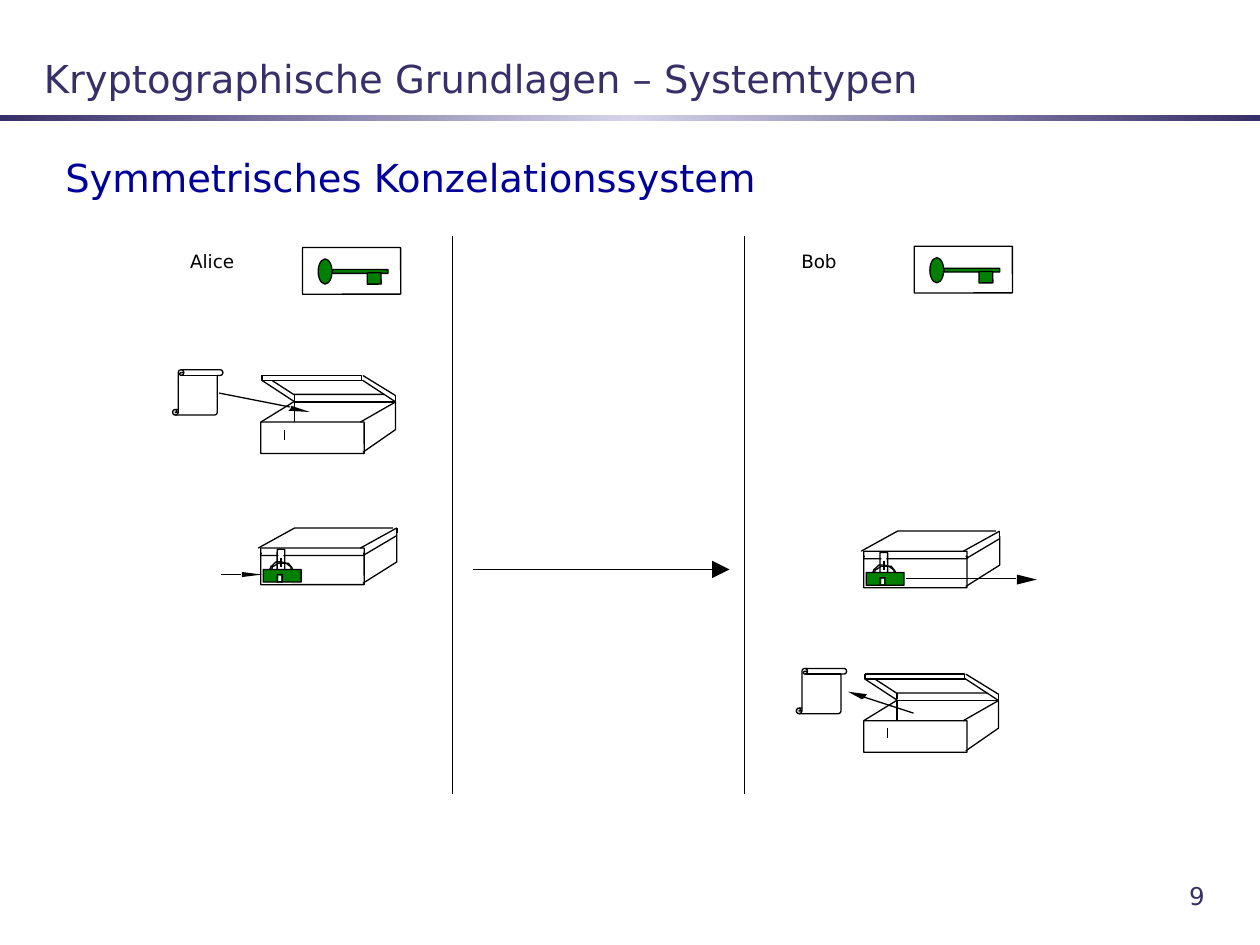
from copy import deepcopy

from pptx import Presentation
from pptx.dml.color import RGBColor
from pptx.enum.shapes import MSO_CONNECTOR, MSO_SHAPE
from pptx.enum.text import MSO_ANCHOR, PP_ALIGN
from pptx.oxml.ns import qn
from pptx.oxml.xmlchemy import OxmlElement
from pptx.util import Emu, Inches, Pt

RECTANGLE = MSO_SHAPE.RECTANGLE
ROUNDED = MSO_SHAPE.ROUNDED_RECTANGLE
OVAL = MSO_SHAPE.OVAL
SCROLL = MSO_SHAPE.VERTICAL_SCROLL
STRAIGHT = MSO_CONNECTOR.STRAIGHT
LEFT, RIGHT = PP_ALIGN.LEFT, PP_ALIGN.RIGHT
TOP, MIDDLE = MSO_ANCHOR.TOP, MSO_ANCHOR.MIDDLE

COLORS = {
    "ink": "000000",
    "paper": "FFFFFF",
    "key": "008000",
    "title": "372F67",
    "glow": "D5D2EA",
    "subtitle": "000099",
}
COLUMNS, ROWS = 100, 75

OPEN_CHEST = [
    [(0, 0), (2.6, -1.6)],
    [(10.7, -1.6), (7.9, 0)],
    [(2.6, -1.6), (10.6, -1.6)],
    [(8.1, 2.4), (10.7, 0.6), (10.7, -1.6)],
    [(2.7, -1.6), (0.1, -3.3)],
    [(10.7, -1.6), (8.1, -3.3)],
    [(0.1, -3.7), (0.1, -3.3), (8.1, -3.3)],
    [(2.65, -1.7), (2.65, -2.2)],
    [(10.7, -1.6), (10.7, -2.1)],
    [(8, -3.3), (8, -3.7), (0.1, -3.7)],
    [(8.1, -3.7), (10.7, -2.1)],
    [(0.9, -3.3), (2.6, -2.2), (9.8, -2.2)],
    [(2.65, -1.6), (2.65, 0)],
    [(1.9, 0.6), (1.9, 1.4)],
]
CHEST_SIDE = [(8.1, 2.4), (10.8, 0.7), (10.8, -1.6)]
CLOSED_LID = [
    [(10.8, -2), (7.9, -0.4)],
    [(10.5, -2), (2.7, -2), (-0.2, -0.4)],
    [(10.8, -2), (10.8, -1.6)],
    [(8.1, 0.2), (10.8, -1.4)],
]
SHACKLE = [
    [(1.6, 0.4), (1.6, 1.1)],
    [(0.9, 1.1), (1.1, 1), (1.4, 0.8), (2.2, 0.8), (2.5, 1.2), (2.5, 1.4)],
    [(0.8, 1.1), (1.2, 0.7), (1.6, 0.7), (2, 0.8), (2.4, 1.1), (2.4, 1.3)],
    [(0.9, 1.1), (0.9, 1.2), (0.8, 1.4)],
    [(0.8, 1), (0.8, 1.1), (0.7, 1.3)],
]


def color(name):
    return RGBColor.from_string(COLORS[name])


def write(frame, text, size, ink="ink", align=LEFT, anchor=TOP, spacing=None, inset=True):
    frame.word_wrap = True
    frame.vertical_anchor = anchor
    if not inset:
        frame.margin_left = frame.margin_right = 0
        frame.margin_top = frame.margin_bottom = 0
    paragraph = frame.paragraphs[0]
    paragraph.alignment = align
    paragraph.line_spacing = spacing
    run = paragraph.add_run()
    run.text = text
    run.font.name = "DejaVu Sans"
    run.font.size = Pt(size)
    run.font.color.rgb = color(ink)


class Sketch:
    def __init__(self, presentation):
        self.slide = presentation.slides.add_slide(presentation.slide_layouts[6])
        self.column = presentation.slide_width / COLUMNS
        self.row = presentation.slide_height / ROWS
        self.stroke = Pt(0.75)
        self.shapes = self.slide.shapes
        self.origin = (0, 0)

    def start_group(self, x, y):
        self.shapes = self.slide.shapes.add_group_shape().shapes
        self.origin = (x, y)

    def end_group(self):
        self.shapes = self.slide.shapes
        self.origin = (0, 0)

    def point(self, x, y):
        left, top = self.origin
        return Emu(round((left + x) * self.column)), Emu(round((top + y) * self.row))

    def area(self, x, y, width, height):
        return *self.point(x, y), Emu(round(width * self.column)), Emu(round(height * self.row))

    def paint(self, shape, fill=None, line=None):
        shape.shadow.inherit = False
        if fill:
            shape.fill.solid()
            shape.fill.fore_color.rgb = color(fill)
        else:
            shape.fill.background()
        if line:
            shape.line.color.rgb = color(line)
            shape.line.width = self.stroke
        else:
            shape.line.fill.background()

    def text(self, text, x, y, width, height, **style):
        write(self.shapes.add_textbox(*self.area(x, y, width, height)).text_frame, text, **style)

    def shape(self, kind, x, y, width, height, fill=None, line=None):
        shape = self.shapes.add_shape(kind, *self.area(x, y, width, height))
        self.paint(shape, fill, line)
        if kind == ROUNDED:
            shape.adjustments[0] = 0.01
        return shape

    def plate(self, x, y, width, height, fill=None, kind=ROUNDED):
        self.shape(kind, x + 0.1, y + 0.1, width - 0.2, height - 0.2, fill="paper")
        self.shape(kind, x, y, width, height, fill, "ink")

    def line(self, start, end, arrow=False):
        connector = self.shapes.add_connector(STRAIGHT, *self.point(*start), *self.point(*end))
        connector.line.color.rgb = color("ink")
        connector.line.width = self.stroke
        properties = connector._element.spPr
        if arrow:
            tail = OxmlElement("a:tailEnd")
            tail.set("type", "triangle")
            tail.set("w", "lg")
            tail.set("len", "lg")
            properties.find(qn("a:ln")).append(tail)
        properties.append(OxmlElement("a:effectLst"))

    def outline(self, points, fill=None):
        start, *others = [self.point(*point) for point in points]
        builder = self.shapes.build_freeform(*start)
        builder.add_line_segments(others, close=bool(fill))
        self.paint(builder.convert_to_shape(), fill, None if fill else "ink")

    def strokes(self, paths):
        for points in paths:
            if len(points) == 2:
                self.line(*points)
            else:
                self.outline(points)

    def pointer(self, start, end, head):
        self.outline(head, fill="ink")
        self.line(start, end)

    def band(self, x, y, width, height):
        band = self.shape(RECTANGLE, x, y, width, height)
        band.fill.gradient()
        band.fill.gradient_angle = 0
        stops = band._element.spPr.find(".//" + qn("a:gsLst"))
        stops.insert(1, deepcopy(stops[0]))
        for stop, position, name in zip(band.fill.gradient_stops, (0, 0.5, 1), ("title", "glow", "title")):
            stop.position = position
            stop.color.rgb = color(name)

    def key(self, x, y):
        self.start_group(x, y)
        self.plate(0, 0, 7.8, 3.7)
        self.plate(2.4, 1.75, 4.4, 0.3, "key")
        self.plate(5.15, 2, 1.1, 0.9, "key")
        self.plate(1.25, 0.9, 1.1, 2, "key", OVAL)
        self.end_group()

    def closed_chest(self, x, y, *arrow):
        self.start_group(x, y)
        self.plate(0, 0, 8.2, 2.5)
        self.outline(CHEST_SIDE)
        self.plate(0, -0.4, 8.2, 0.6)
        self.strokes(CLOSED_LID)
        self.plate(1.3, -0.3, 0.6, 1.8)
        self.strokes(SHACKLE)
        self.plate(0.2, 1.3, 3, 1, "key")
        self.plate(1.3, 1.7, 0.4, 0.6)
        self.pointer(*arrow)
        self.end_group()

    def open_chest(self, x, y, scroll_x, *arrow):
        self.start_group(x, y)
        self.plate(0, 0, 8.2, 2.5)
        self.strokes(OPEN_CHEST)
        self.pointer(*arrow)
        self.shape(SCROLL, scroll_x, -4.15, 4, 3.6, "paper", "ink")
        self.end_group()


def main():
    presentation = Presentation()
    presentation.slide_width, presentation.slide_height = Inches(10), Inches(7.5)
    sketch = Sketch(presentation)
    sketch.band(0, 9.1, COLUMNS, 0.5)
    sketch.text("9", 75.8, 69.4, 20.8, 3.8, size=14, ink="title", align=RIGHT)
    sketch.text("Kryptographische Grundlagen – Systemtypen", 2.5, 3.3, 95, 5.8,
                size=22, ink="title", anchor=MIDDLE)
    sketch.text("Symmetrisches Konzelationssystem", 4.2, 11.7, 91.7, 5.5, size=22, ink="subtitle")

    for name, name_x, key_x, key_y in (("Alice", 15.1, 24, 19.65), ("Bob", 63.6, 72.55, 19.55)):
        sketch.text(name, name_x, 20, 13.3, 2.8, size=10.5, spacing=0.95, inset=False)
        sketch.key(key_x, key_y)
    for border in (35.9, 59.1):
        sketch.line((border, 18.7), (border, 63))
    sketch.line((37.5, 45.2), (57.9, 45.2), arrow=True)

    sketch.open_chest(20.7, 33.5, -7, (-3.3, -2.3), (2.3, -1.2),
                      [(3.9, -0.8), (2.2, -0.9), (2.4, -1.1), (2.4, -1.3)])
    sketch.closed_chest(20.7, 43.9, (-3.2, 1.7), (-1.6, 1.7),
                        [(0.1, 1.7), (-1.5, 1.9), (-1.5, 1.5)])
    sketch.closed_chest(68.55, 44.15, (3.35, 1.75), (12.05, 1.75),
                        [(13.75, 1.85), (12.15, 2.25), (12.15, 1.45)])
    sketch.open_chest(68.55, 57.2, -5.35, (3.95, -0.6), (-0.05, -1.9),
                      [(-1.25, -2.3), (0.25, -2.1), (0.05, -1.8), (-0.15, -1.7)])
    presentation.save("out.pptx")


if __name__ == "__main__":
    main()
